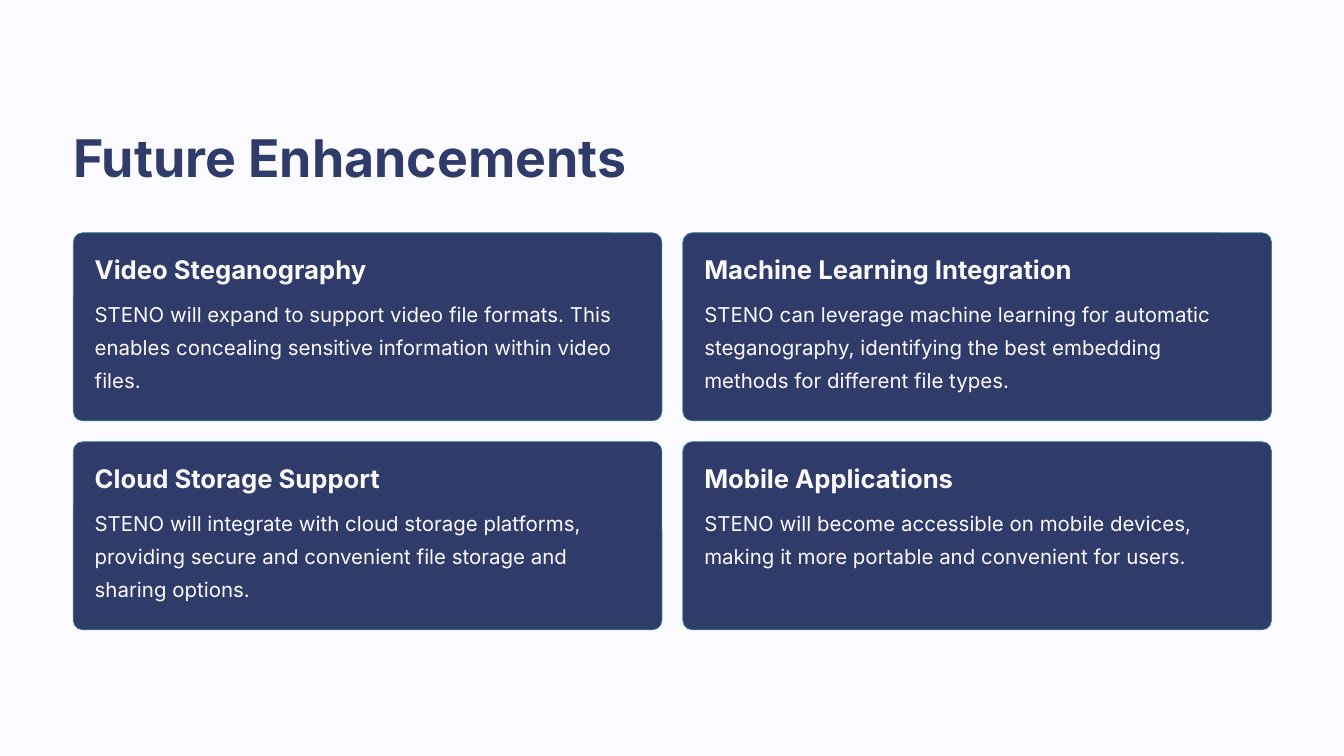
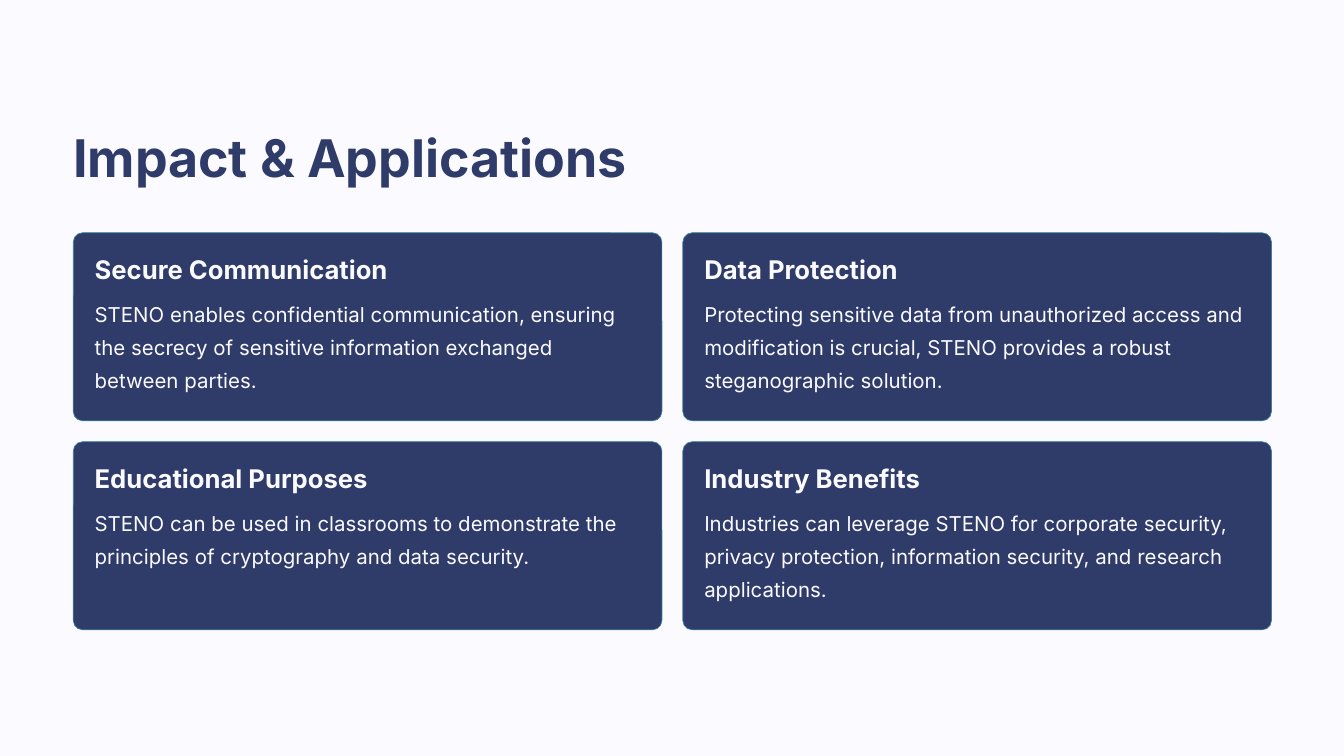
from pptx import Presentation
from pptx.dml.color import RGBColor
from pptx.enum.shapes import MSO_SHAPE
from pptx.enum.text import MSO_ANCHOR, MSO_AUTO_SIZE, PP_ALIGN
from pptx.util import Cm, Pt

NAVY, PALE, TEAL = "2F3B69", "FAFAFF", "3E829A"

FRAME = {
    "margin_left": 0, "margin_right": 0, "margin_top": 0, "margin_bottom": 0,
    "word_wrap": True, "auto_size": MSO_AUTO_SIZE.NONE,
    "vertical_anchor": MSO_ANCHOR.TOP,
}
TITLE = {"size": Pt(55.6), "bold": True, "name": "Inter"}
HEAD = {"size": Pt(27.5), "bold": True, "name": "Inter"}
BODY = {"size": Pt(21.9), "bold": False, "name": "Inter"}

LEFT, TOP = 2.77, 8.8
WIDE, HIGH = 22.25, 7.11
GAP = 0.79
PAD = 0.81
COLS = 2

DECK = [
    ("Future Enhancements", [
        ("Video Steganography",
         "STENO will expand to support video file formats. This enables "
         "concealing sensitive information within video files."),
        ("Machine Learning Integration",
         "STENO can leverage machine learning for automatic steganography, "
         "identifying the best embedding methods for different file types."),
        ("Cloud Storage Support",
         "STENO will integrate with cloud storage platforms, providing secure "
         "and convenient file storage and sharing options."),
        ("Mobile Applications",
         "STENO will become accessible on mobile devices, making it more "
         "portable and convenient for users."),
    ]),
    ("Impact & Applications", [
        ("Secure Communication",
         "STENO enables confidential communication, ensuring the secrecy of "
         "sensitive information exchanged between parties."),
        ("Data Protection",
         "Protecting sensitive data from unauthorized access and modification "
         "is crucial, STENO provides a robust steganographic solution."),
        ("Educational Purposes",
         "STENO can be used in classrooms to demonstrate the principles of "
         "cryptography and data security."),
        ("Industry Benefits",
         "Industries can leverage STENO for corporate security, privacy "
         "protection, information security, and research applications."),
    ]),
]


def paint(fill, tint):
    fill.solid()
    fill.fore_color.rgb = RGBColor.from_string(tint)


def apply(item, style):
    for key, value in style.items():
        setattr(item, key, value)


def write(shape, text, style, tint, pitch):
    frame = shape.text_frame
    apply(frame, FRAME)
    para = frame.paragraphs[0]
    apply(para, {"alignment": PP_ALIGN.LEFT, "line_spacing": Pt(pitch)})
    run = para.add_run()
    run.text = text
    apply(run.font, style)
    run.font.color.rgb = RGBColor.from_string(tint)


def add_title(slide, text):
    title = slide.shapes.title
    apply(title, {"left": Cm(LEFT), "top": Cm(4.67),
                  "width": Cm(24.2), "height": Cm(2.41)})
    write(title, text, TITLE, NAVY, 69.4)


def add_text(slide, x, y, high, text, style, pitch):
    box = slide.shapes.add_textbox(Cm(x), Cm(y), Cm(WIDE - 2 * PAD), Cm(high))
    write(box, text, style, PALE, pitch)


def add_card(slide, x, y, head, body):
    card = slide.shapes.add_shape(
        MSO_SHAPE.ROUNDED_RECTANGLE, Cm(x), Cm(y), Cm(WIDE), Cm(HIGH))
    card.adjustments[0] = 0.05
    card.shadow.inherit = False
    paint(card.fill, NAVY)
    paint(card.line.fill, TEAL)
    card.line.width = Pt(0.75)
    add_text(slide, x + PAD, y + 0.76, 1.19, head, HEAD, 34.4)
    add_text(slide, x + PAD, y + 2.28, 3.68, body, BODY, 35.6)


def add_cards(slide, cards):
    for index, (head, body) in enumerate(cards):
        row, col = divmod(index, COLS)
        add_card(slide, LEFT + col * (WIDE + GAP), TOP + row * (HIGH + GAP),
                 head, body)


def main():
    deck = Presentation()
    deck.slide_width, deck.slide_height = Cm(50.8), Cm(28.58)
    paint(deck.slide_master.background.fill, PALE)
    layout = deck.slide_layouts.get_by_name("Title Only")
    for title, cards in DECK:
        slide = deck.slides.add_slide(layout)
        add_title(slide, title)
        add_cards(slide, cards)
    deck.save("out.pptx")


if __name__ == "__main__":
    main()
